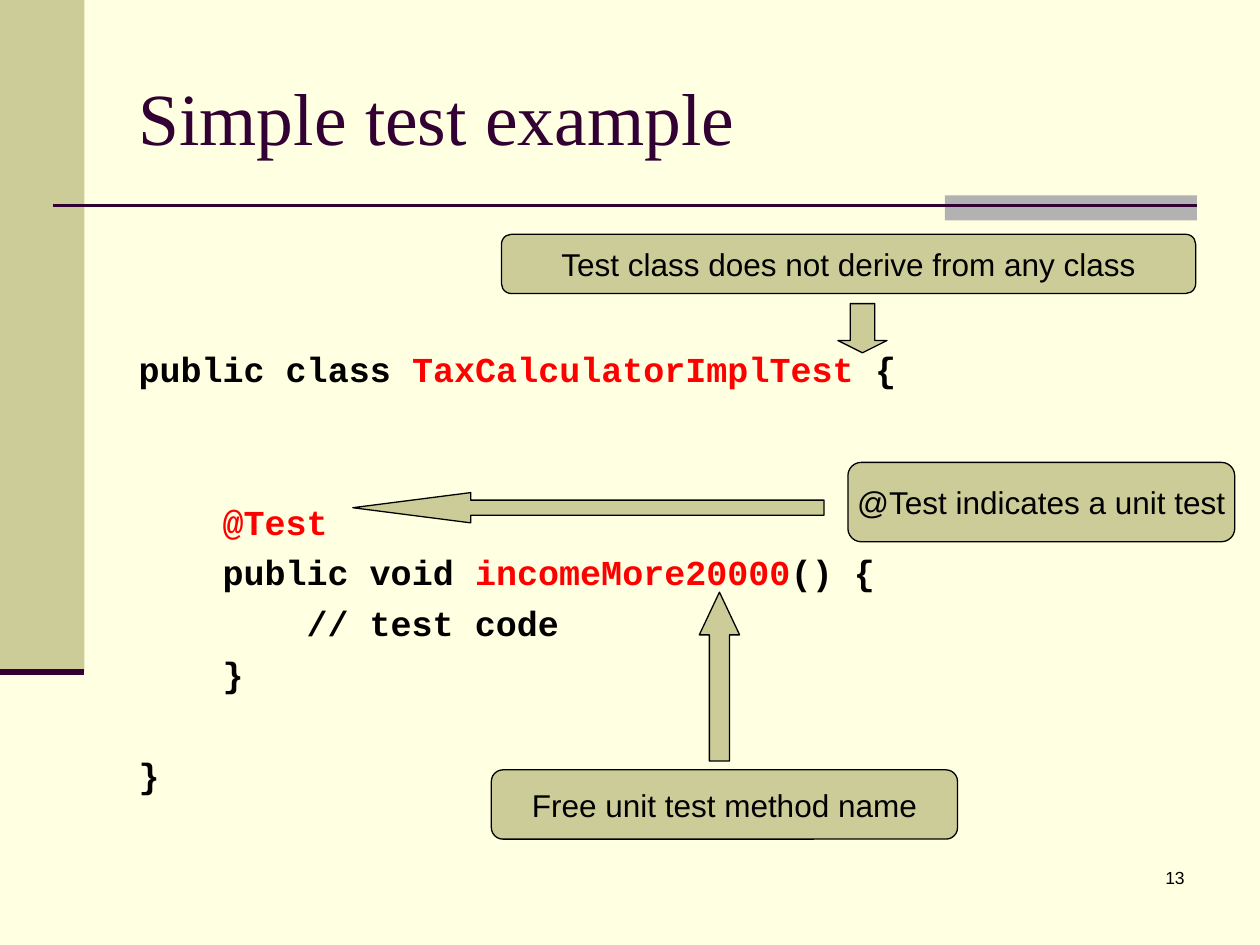
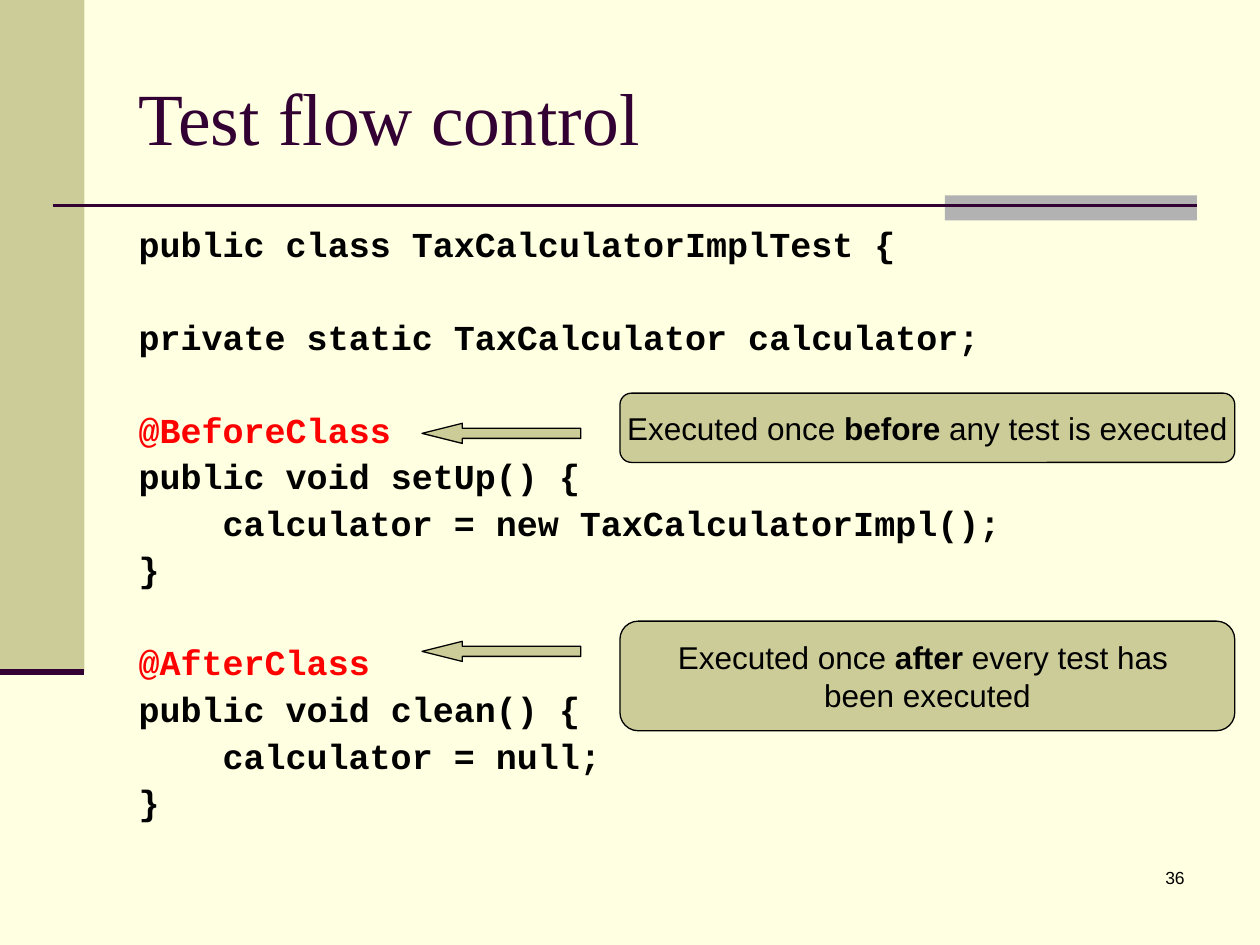
from typing import NamedTuple

from lxml.etree import SubElement
from pptx import Presentation
from pptx.dml.color import RGBColor
from pptx.enum.shapes import MSO_CONNECTOR, MSO_SHAPE
from pptx.enum.text import MSO_ANCHOR, MSO_AUTO_SIZE, PP_ALIGN
from pptx.oxml.ns import qn
from pptx.util import Inches, Pt

CREAM = RGBColor(0xFF, 0xFF, 0xE1)
KHAKI = RGBColor(0xCC, 0xCC, 0x99)
GRAY = RGBColor(0xB2, 0xB2, 0xB2)
PLUM = RGBColor(0x33, 0x00, 0x33)
RED = RGBColor(0xFF, 0x00, 0x00)
BLACK = RGBColor(0x00, 0x00, 0x00)

COLS, ROWS = 100, 75
CELL = Inches(0.1)
CODE_SIZE = 20
CHAR_WIDTH = 0.6 * CODE_SIZE
LINE_HEIGHT = 1.2 * CODE_SIZE
LINE_GAP = 5


class Box(NamedTuple):
    """A rectangle in grid columns and rows."""

    x: float
    y: float
    w: float
    h: float

    def sub(self, x, y, w, h):
        """Return a box placed from this box's top left corner."""
        return Box(self.x + x, self.y + y, w, h)

    def emu(self):
        """Return left, top, width and height as slide lengths."""
        return [round(v * CELL) for v in self]


PAGE = Box(0, 0, COLS, ROWS)
TITLE = PAGE.sub(10, 3, 85, 12.5)
BODY = PAGE.sub(10, 17.5, 85, 49.5)
NUMBER = PAGE.sub(74.2, 68.3, 20.8, 5)


def add_run(p, text, font, size, color=BLACK, bold=False):
    """Append one formatted run."""
    r = p.add_run()
    r.text = text
    r.font.name, r.font.size, r.font.bold = font, Pt(size), bold
    r.font.color.rgb = color


def place(sp, box):
    """Move a placeholder to a box."""
    sp.left, sp.top, sp.width, sp.height = box.emu()
    sp.text_frame.auto_size = MSO_AUTO_SIZE.NONE


def add_shape(s, kind, box, fill, outlined=False, adjustments=()):
    """Draw a flat preset shape, with a thin black outline if asked."""
    sp = s.shapes.add_shape(kind, *box.emu())
    sp.shadow.inherit = False
    sp.fill.solid()
    sp.fill.fore_color.rgb = fill
    if outlined:
        sp.line.color.rgb, sp.line.width = BLACK, Pt(0.75)
    else:
        sp.line.fill.background()
    for i, value in enumerate(adjustments):
        sp.adjustments[i] = value
    return sp


def add_rule(s, x, y, w, width):
    """Draw a horizontal plum line."""
    left, top, length, _ = PAGE.sub(x, y, w, 0).emu()
    line = s.shapes.add_connector(MSO_CONNECTOR.STRAIGHT, left, top, left + length, top)
    line.line.color.rgb, line.line.width = PLUM, Pt(width)
    SubElement(line.element.spPr, qn("a:effectLst"))


def add_frame(s, number):
    """Draw the side band, the title rule and the page number."""
    add_shape(s, MSO_SHAPE.RECTANGLE, PAGE.sub(0, 0, 6.7, 53.3), KHAKI)
    add_shape(s, MSO_SHAPE.RECTANGLE, PAGE.sub(75, 15.5, 20, 2), GRAY)
    add_rule(s, 4.2, 16.3, 90.8, 1.5)
    add_rule(s, 0, 53.3, 6.7, 3.5)
    tf = s.shapes.add_textbox(*NUMBER.emu()).text_frame
    tf.word_wrap = True
    p = tf.paragraphs[0]
    p.alignment = PP_ALIGN.RIGHT
    add_run(p, number, "Arial", 10)


def add_title(s, text):
    """Fill the title placeholder."""
    place(s.shapes.title, TITLE)
    tf = s.shapes.title.text_frame
    tf.vertical_anchor = MSO_ANCHOR.MIDDLE
    p = tf.paragraphs[0]
    p.alignment = PP_ALIGN.LEFT
    add_run(p, text, "Times New Roman", 42, PLUM)


def add_code(s, lines, spacing, inset):
    """Fill the body with (skipped lines, indent, code); bars enclose red parts."""
    sp = s.placeholders[1]
    place(sp, BODY)
    tf = sp.text_frame
    tf.vertical_anchor = MSO_ANCHOR.TOP
    tf.margin_top = round(inset * CELL)
    pitch = LINE_HEIGHT * spacing + LINE_GAP
    for i, (skipped, indent, code) in enumerate(lines):
        p = tf.add_paragraph() if i else tf.paragraphs[0]
        p.line_spacing = spacing
        p.space_before = Pt(LINE_GAP + skipped * pitch)
        pPr = p._p.get_or_add_pPr()
        pPr.set("marL", str(Pt(indent * CHAR_WIDTH)))
        pPr.set("indent", "0")
        SubElement(pPr, qn("a:buNone"))
        for j, part in enumerate(code.split("|")):
            if part:
                add_run(p, part, "Courier New", CODE_SIZE, RED if j % 2 else BLACK, True)


def add_callout(s, box, *lines):
    """Draw a rounded note; bars enclose bold parts."""
    sp = add_shape(s, MSO_SHAPE.ROUNDED_RECTANGLE, box, KHAKI, True, [0.167])
    tf = sp.text_frame
    tf.word_wrap = False
    tf.vertical_anchor = MSO_ANCHOR.MIDDLE
    for i, line in enumerate(lines):
        p = tf.add_paragraph() if i else tf.paragraphs[0]
        p.alignment = PP_ALIGN.CENTER
        for j, part in enumerate(line.split("|")):
            add_run(p, part, "Arial", 18, bold=j % 2 == 1)


def add_arrow(s, kind, box, head):
    """Draw a block arrow with the given head length."""
    add_shape(s, kind, box, KHAKI, True, [0.5, head])


def add_code_slide(prs, title, number, lines, spacing, inset):
    """Add a slide with the shared frame, a title and a code listing."""
    s = prs.slides.add_slide(prs.slide_layouts[1])
    add_frame(s, number)
    add_title(s, title)
    add_code(s, lines, spacing, inset)
    return s


def add_simple_test(prs):
    """Build the annotated test class."""
    s = add_code_slide(prs, "Simple test example", "13", [
        (0, 0, "public class |TaxCalculatorImplTest| {"),
        (2, 4, "|@Test|"),
        (0, 4, "public void |incomeMore20000|() {"),
        (0, 8, "// test code"),
        (0, 4, "}"),
        (1, 0, "}"),
    ], 1.0, 10.1)
    add_callout(s, BODY.sub(57.3, 19.2, 30.7, 6.3), "@Test indicates a unit test")
    add_arrow(s, MSO_SHAPE.LEFT_ARROW, BODY.sub(18, 21.6, 37.4, 2.4), 3.9)
    add_callout(s, BODY.sub(29, 43.6, 37, 5.5), "Free unit test method name")
    add_arrow(s, MSO_SHAPE.UP_ARROW, BODY.sub(45.5, 29.5, 3.2, 13.4), 1.06)
    add_callout(s, BODY.sub(29.8, 1.1, 55.1, 4.7), "Test class does not derive from any class")
    add_arrow(s, MSO_SHAPE.DOWN_ARROW, BODY.sub(56.5, 6.6, 3.9, 3.9), 0.25)


def add_flow_control(prs):
    """Build the set-up and clean-up listing."""
    s = add_code_slide(prs, "Test flow control", "36", [
        (0, 0, "public class TaxCalculatorImplTest {"),
        (1, 0, "private static TaxCalculator calculator;"),
        (1, 0, "|@BeforeClass|"),
        (0, 0, "public void setUp() {"),
        (0, 4, "calculator = new TaxCalculatorImpl();"),
        (0, 0, "}"),
        (1, 0, "|@AfterClass|"),
        (0, 0, "public void clean() {"),
        (0, 4, "calculator = null;"),
        (0, 0, "}"),
    ], 0.9, 0.5)
    notes = [
        (13.7, 5.5, 16.1, ["Executed once |before| any test is executed"]),
        (31.8, 8.7, 33.4, ["Executed once |after| every test has ", "been executed"]),
    ]
    for top, height, arrow_top, text in notes:
        add_callout(s, BODY.sub(39.2, top, 48.8, height), *text)
        add_arrow(s, MSO_SHAPE.LEFT_ARROW, BODY.sub(23.5, arrow_top, 12.6, 1.6), 2)


def main():
    """Build and save the presentation."""
    prs = Presentation()
    prs.slide_width, prs.slide_height = COLS * CELL, ROWS * CELL
    fill = prs.slide_master.background.fill
    fill.solid()
    fill.fore_color.rgb = CREAM
    add_simple_test(prs)
    add_flow_control(prs)
    prs.save("out.pptx")


if __name__ == "__main__":
    main()
